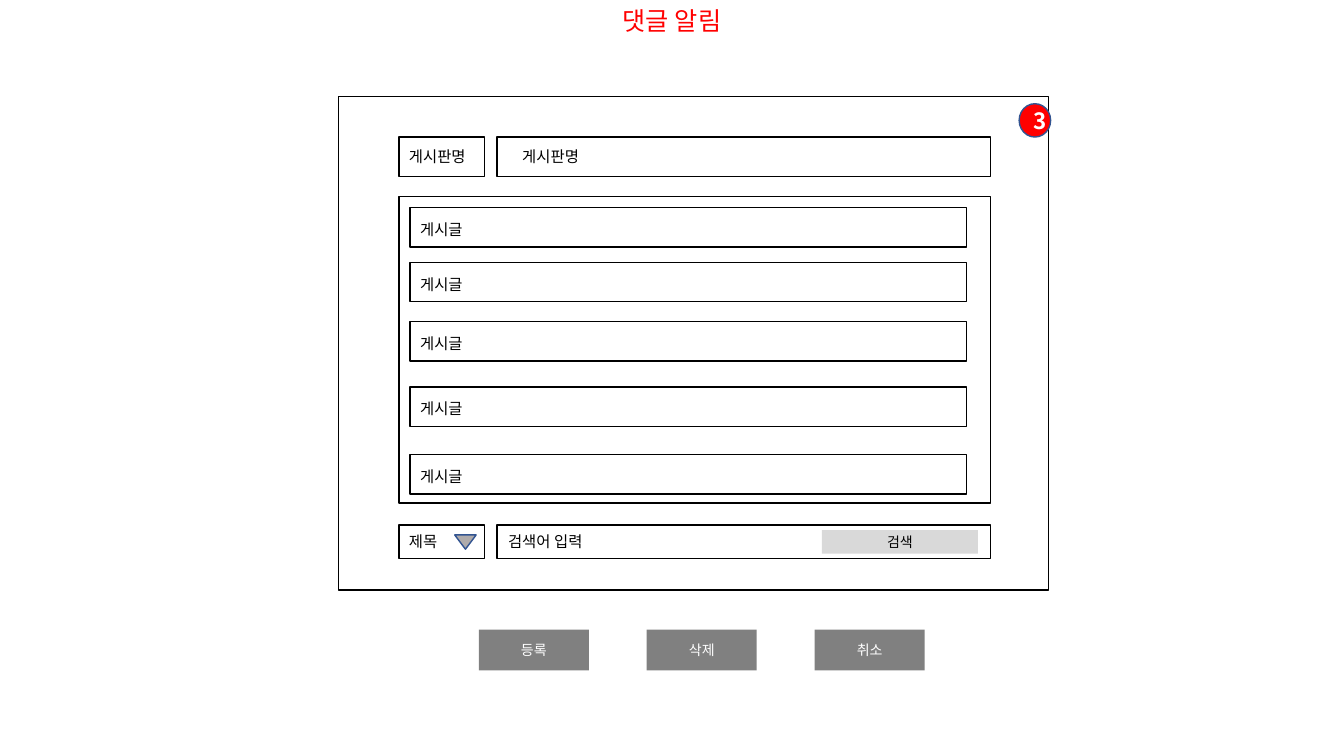
from pptx import Presentation
from pptx.dml.color import RGBColor
from pptx.enum.shapes import MSO_SHAPE
from pptx.enum.text import MSO_ANCHOR, MSO_AUTO_SIZE, PP_ALIGN
from pptx.oxml.ns import qn
from pptx.util import Pt
from lxml import etree

RECTANGLE, OVAL, TRIANGLE = MSO_SHAPE.RECTANGLE, MSO_SHAPE.OVAL, MSO_SHAPE.ISOSCELES_TRIANGLE
LEFT, CENTER = PP_ALIGN.LEFT, PP_ALIGN.CENTER
TOP, MIDDLE = MSO_ANCHOR.TOP, MSO_ANCHOR.MIDDLE
GROW, FIXED = MSO_AUTO_SIZE.SHAPE_TO_FIT_TEXT, MSO_AUTO_SIZE.NONE
FONT = "Noto Sans CJK KR"
COLORS = {
    "black": "000000",
    "white": "FFFFFF",
    "red": "FF0000",
    "button": "808080",
    "search": "D9D9D9",
    "arrow": "AFABAB",
    "outline": "325491",
}
LABEL_HEIGHT = 20.9
POST_TOPS = (8, 47, 89.3, 136.1, 184.4)


def color(name):
    """Return the named colour."""
    return RGBColor.from_string(COLORS[name])


def write(shape, text, size, ink, align=LEFT, anchor=TOP, fit=GROW, bold=False):
    """Write one formatted line of text into a shape."""
    frame = shape.text_frame
    frame_format = {"word_wrap": True, "auto_size": fit, "vertical_anchor": anchor}
    for key, value in frame_format.items():
        setattr(frame, key, value)
    para = frame.paragraphs[0]
    para.alignment = align
    span = para.add_run()
    span.text = text
    span.font.color.rgb = color(ink)
    for key, value in {"name": FONT, "size": Pt(size), "bold": bold}.items():
        setattr(span.font, key, value)
    etree.SubElement(span.font._element, qn("a:ea"), typeface=FONT)


def add_box(page, box, kind=RECTANGLE, fill=None, line=None):
    """Add a preset shape with an optional fill and outline."""
    shape = page.shapes.add_shape(kind, *map(Pt, box))
    shape.shadow.inherit = False
    if fill:
        shape.fill.solid()
        shape.fill.fore_color.rgb = color(fill)
    else:
        shape.fill.background()
    if line:
        shape.line.color.rgb = color(line)
        shape.line.width = Pt(1)
    else:
        shape.line.fill.background()
    return shape


def add_button(page, box, text, fill, ink):
    """Add a filled button with a centred caption."""
    write(add_box(page, box, fill=fill), text, 10, ink, CENTER, MIDDLE, FIXED)


def add_field(page, box, text, indent=0, drop=1.6, label_width=None):
    """Add an outlined field with its label."""
    left, top, width, height = box
    add_box(page, box, line="black")
    place = (left + indent, top + drop, label_width or width, LABEL_HEIGHT)
    write(page.shapes.add_textbox(*map(Pt, place)), text, 11, "black")


def add_title(page, box, text):
    """Place the page title."""
    title = page.shapes.title
    for key, value in zip(("left", "top", "width", "height"), box):
        setattr(title, key, Pt(value))
    write(title, text, 18, "red", CENTER)


def add_header(page, box):
    """Add the board name and its field."""
    left, top, width, height = box
    add_field(page, (left, top, 61.3, height), "게시판명", drop=3.5, label_width=62)
    add_field(page, (left + 70, top, width - 70, height), "게시판명", 10.9, 3.5, 62)


def add_posts(page, box):
    """Add the framed list of posts."""
    left, top, width, height = box
    add_box(page, box, line="black")
    for offset in POST_TOPS:
        row = (left + 8, top + offset, width - 25, 28.1)
        add_field(page, row, "게시글", drop=5.3, label_width=403)


def add_search(page, box):
    """Add the search category, search field and search button."""
    left, top, width, height = box
    add_field(page, (left, top, 61.3, height), "제목", label_width=62)
    add_field(page, (left + 70, top, width - 70, height), "검색어 입력", 0.8, label_width=231)
    add_button(page, (left + 302, top + 3.6, 111.6, 16.8), "검색", "search", "black")
    arrow = add_box(page, (left + 39.8, top + 7, 15.3, 10.2), TRIANGLE, "arrow", "outline")
    arrow.rotation = 180


def add_window(page, box):
    """Add the notification window with its parts and number badge."""
    left, top, width, height = box
    add_box(page, box, line="black")
    inner, inner_width = left + 43.1, 422.6
    add_header(page, (inner, top + 28.8, inner_width, 28.1))
    add_posts(page, (inner, top + 71.3, inner_width, 218.9))
    add_search(page, (inner, top + 306, inner_width, 23.9))
    badge = add_box(page, (left + width - 20.9, top + 5, 22.5, 23.8), OVAL, "red", "outline")
    write(badge, "3", 16, "white", CENTER, MIDDLE, FIXED, True)


def add_actions(page, box):
    """Add the evenly spaced action buttons."""
    left, top, width, height = box
    button_width = 78.6
    step = (width - button_width) / 2
    for index, text in enumerate(("등록", "삭제", "취소")):
        place = (left + index * step, top, button_width, height)
        add_button(page, place, text, "button", "white")


def main():
    """Build and save the deck."""
    deck = Presentation()
    deck.slide_width, deck.slide_height = Pt(960), Pt(540)
    page = deck.slides.add_slide(deck.slide_layouts[5])
    add_title(page, (0, 0, 960, 29), "댓글 알림")
    add_window(page, (241.9, 69.1, 507, 352.3))
    add_actions(page, (342, 449.8, 318.5, 29))
    deck.save("out.pptx")


if __name__ == "__main__":
    main()
